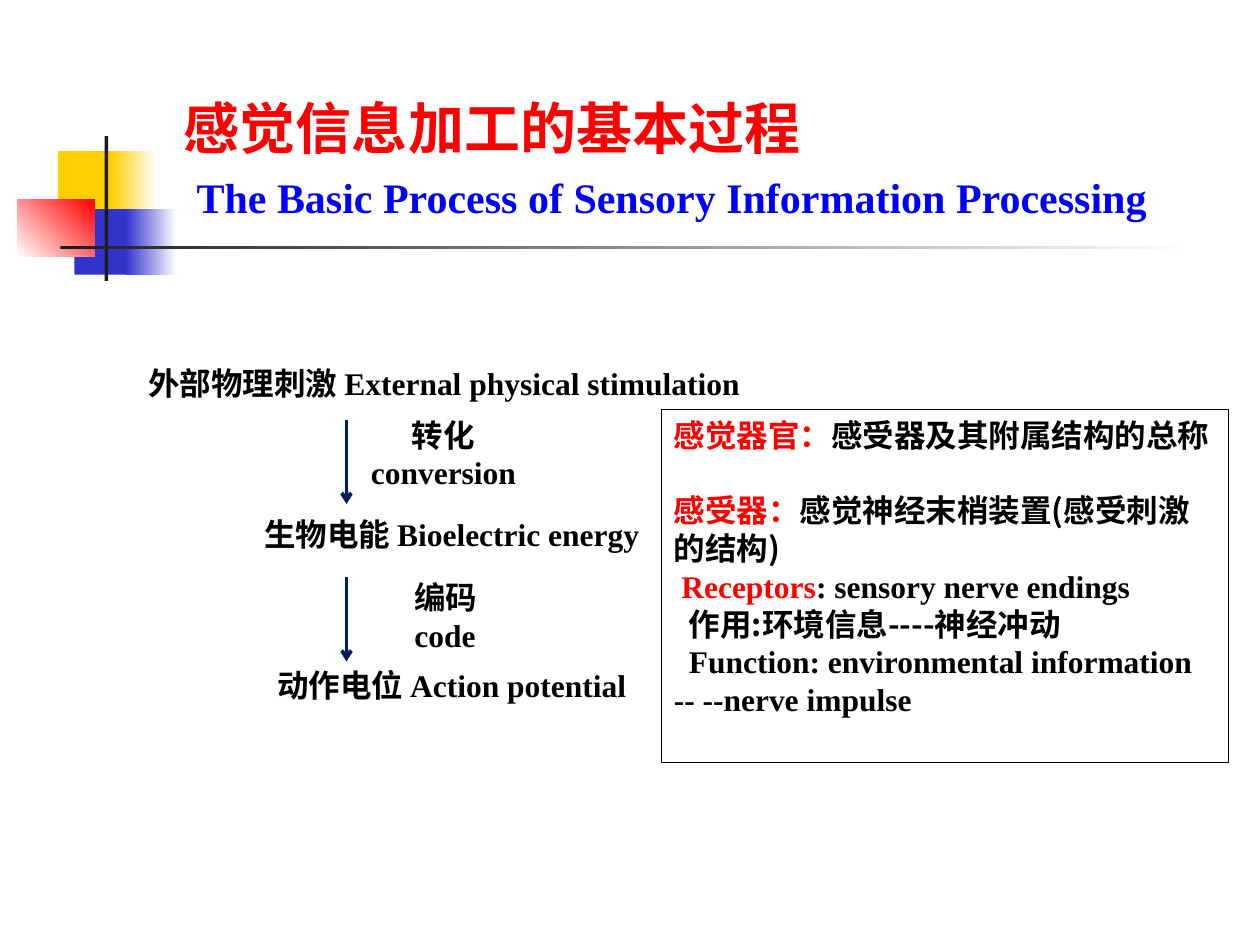
from lxml.etree import SubElement
from pptx import Presentation
from pptx.dml.color import RGBColor
from pptx.enum.shapes import MSO_CONNECTOR, MSO_SHAPE
from pptx.enum.text import MSO_ANCHOR, MSO_AUTO_SIZE, PP_ALIGN
from pptx.oxml.ns import qn
from pptx.util import Inches, Pt

COLORS = {
    "yellow": "FFCF01", "indigo": "3333CC", "red": "FF0000", "blue": "0000FF",
    "navy": "002060", "charcoal": "1C1C1C", "black": "000000", "white": "FFFFFF",
}
CHINESE, ENGLISH = "Noto Sans CJK SC", "Times New Roman"

deck = Presentation()
deck.slide_width, deck.slide_height = Inches(10), Inches(7.5)
cell = deck.slide_width // 10
page = deck.slides.add_slide(deck.slide_layouts[5])


def place(*cells):
    return [round(count * cell) for count in cells]


def write(frame, *spans, size=18, color="black", align=PP_ALIGN.LEFT,
          line=21.6, before=0, left=0, right=0, indent=0):
    para = frame.paragraphs[0]
    if para.runs:
        para = frame.add_paragraph()
    para.alignment = align
    para.line_spacing = Pt(line) if line else 1.0
    para.space_before = Pt(before)
    for name, share in (("marL", left), ("marR", right), ("indent", indent)):
        para._p.get_or_add_pPr().set(name, str(round(share * cell)))
    for item in spans:
        text, shade = item if isinstance(item, tuple) else (item, color)
        span = para.add_run()
        span.text = text
        span.font.name = ENGLISH if text.isascii() else CHINESE
        span.font.size, span.font.bold = Pt(size), True
        span.font.color.rgb = RGBColor.from_string(COLORS[shade])
        SubElement(span.font._element, qn("a:ea"), typeface=CHINESE)


decorations = [
    (0.46, 1.2, 0.48, 0.52, "yellow", None, 0),
    (0.88, 1.2, 0.36, 0.52, "yellow", "white", 0),
    (0.59, 1.66, 0.46, 0.52, "indigo", None, 0),
    (1, 1.66, 0.4, 0.52, "indigo", "white", 0),
    (0.14, 1.58, 0.61, 0.46, "white", "red", 45),
    (0.83, 1.08, 0.03, 1.15, "charcoal", None, 0),
    (0.48, 1.95, 9, 0.03, "charcoal", "white", 0),
]
for *area, start, end, angle in decorations:
    block = page.shapes.add_shape(MSO_SHAPE.RECTANGLE, *place(*area))
    block.shadow.inherit = False
    block.line.fill.background()
    if end:
        block.fill.gradient()
        block.fill.gradient_angle = angle
        for stop, shade in zip(block.fill.gradient_stops, (start, end)):
            stop.color.rgb = RGBColor.from_string(COLORS[shade])
    else:
        block.fill.solid()
        block.fill.fore_color.rgb = RGBColor.from_string(COLORS[start])

title = page.shapes.title
title.left, title.top, title.width, title.height = place(1.26, 0.23, 8.52, 1.6)
heading = title.text_frame
heading.auto_size = MSO_AUTO_SIZE.NONE
heading.vertical_anchor = MSO_ANCHOR.BOTTOM
heading.margin_bottom = round(0.07 * cell)
write(heading, "感觉信息加工的基本过程", size=32, color="red", line=None, left=0.1)
write(heading, "The Basic Process of Sensory Information Processing",
      size=24, color="blue", line=None, before=6, left=0.2)

stages = [
    ("外部物理刺激 ", "External physical stimulation", 0, 0.12),
    ("生物电能 ", "Bioelectric energy", 64.8, 0),
    ("动作电位 ", "Action potential", 64.8, 0),
]
flow = page.shapes.add_textbox(*place(0.67, 2.84, 5.83, 2.8)).text_frame
flow.word_wrap = True
for chinese, english, before, right in stages:
    write(flow, chinese, english, align=PP_ALIGN.CENTER, before=before, right=right)

steps = [
    (2.7, 3.25, 1.64, "转化", "conversion", PP_ALIGN.CENTER),
    (3.19, 4.54, 1.48, "编码", "code", PP_ALIGN.LEFT),
]
for left, top, width, chinese, english, align in steps:
    label = page.shapes.add_textbox(*place(left, top, width, 0.7)).text_frame
    label.word_wrap = True
    write(label, chinese, align=align)
    write(label, english, align=align)

for top in (3.33, 4.58):
    arrow = page.shapes.add_connector(
        MSO_CONNECTOR.STRAIGHT, *place(2.75, top, 2.75, top + 0.67))
    arrow.line.color.rgb = RGBColor.from_string(COLORS["navy"])
    arrow.line.width = Pt(2)
    SubElement(arrow.line._get_or_add_ln(), qn("a:tailEnd"), type="arrow")
    SubElement(arrow._element.spPr, qn("a:effectLst"))

box = page.shapes.add_shape(MSO_SHAPE.RECTANGLE, *place(5.25, 3.25, 4.5, 2.8))
box.shadow.inherit = False
box.fill.background()
box.line.color.rgb = RGBColor.from_string(COLORS["black"])
box.line.width = Pt(0.75)
definitions = box.text_frame
definitions.word_wrap = True
definitions.vertical_anchor = MSO_ANCHOR.TOP
write(definitions, ("感觉器官：", "red"), "感受器及其附属结构的总称")
write(definitions, ("感受器：", "red"), "感觉神经末梢装置(感受刺激的结构)", before=21.6)
write(definitions, ("Receptors", "red"), ": sensory nerve endings", indent=0.06)
write(definitions, "作用:环境信息----神经冲动", indent=0.12)
write(definitions, "Function: environmental information -- --nerve impulse", indent=0.12)

deck.save("out.pptx")
